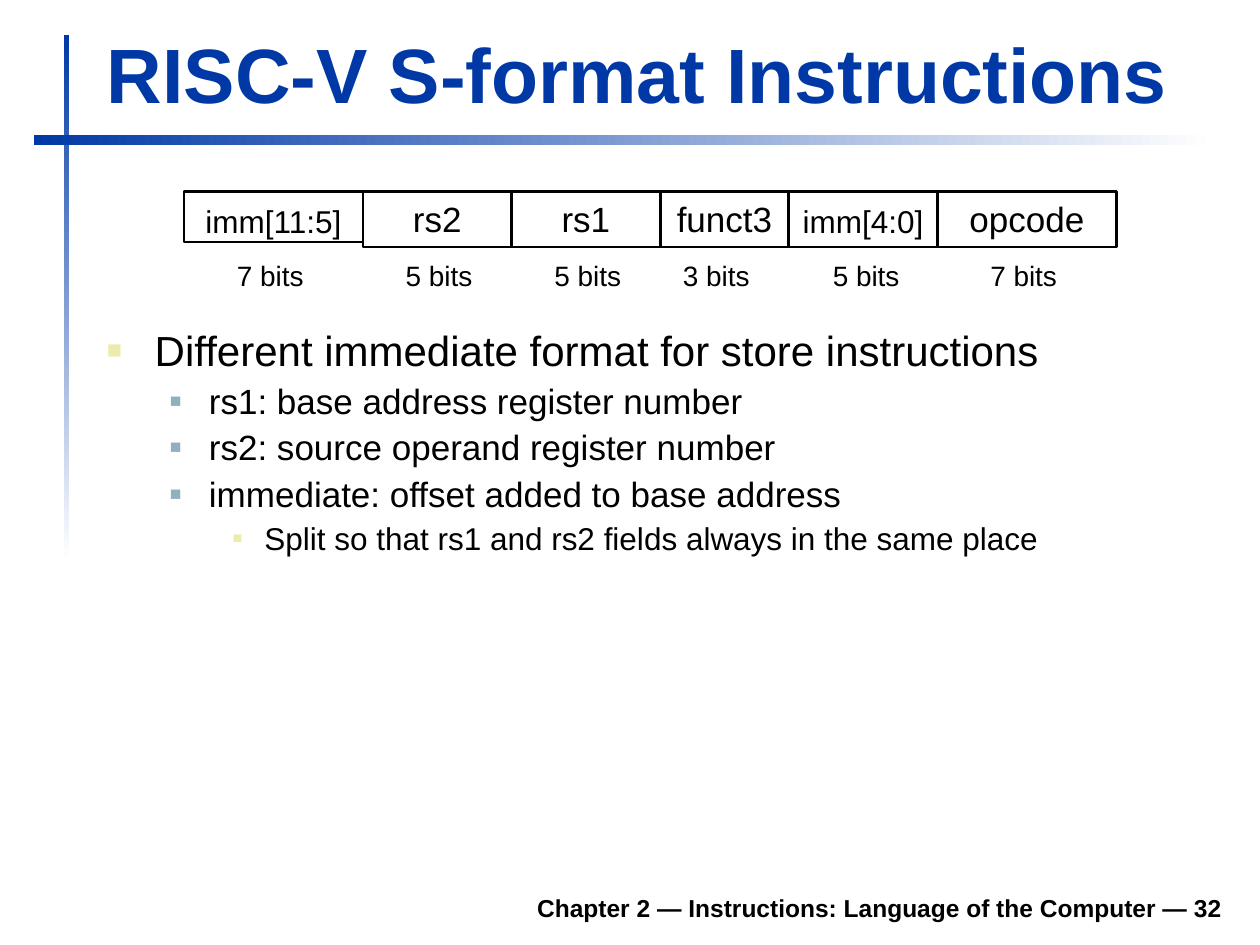
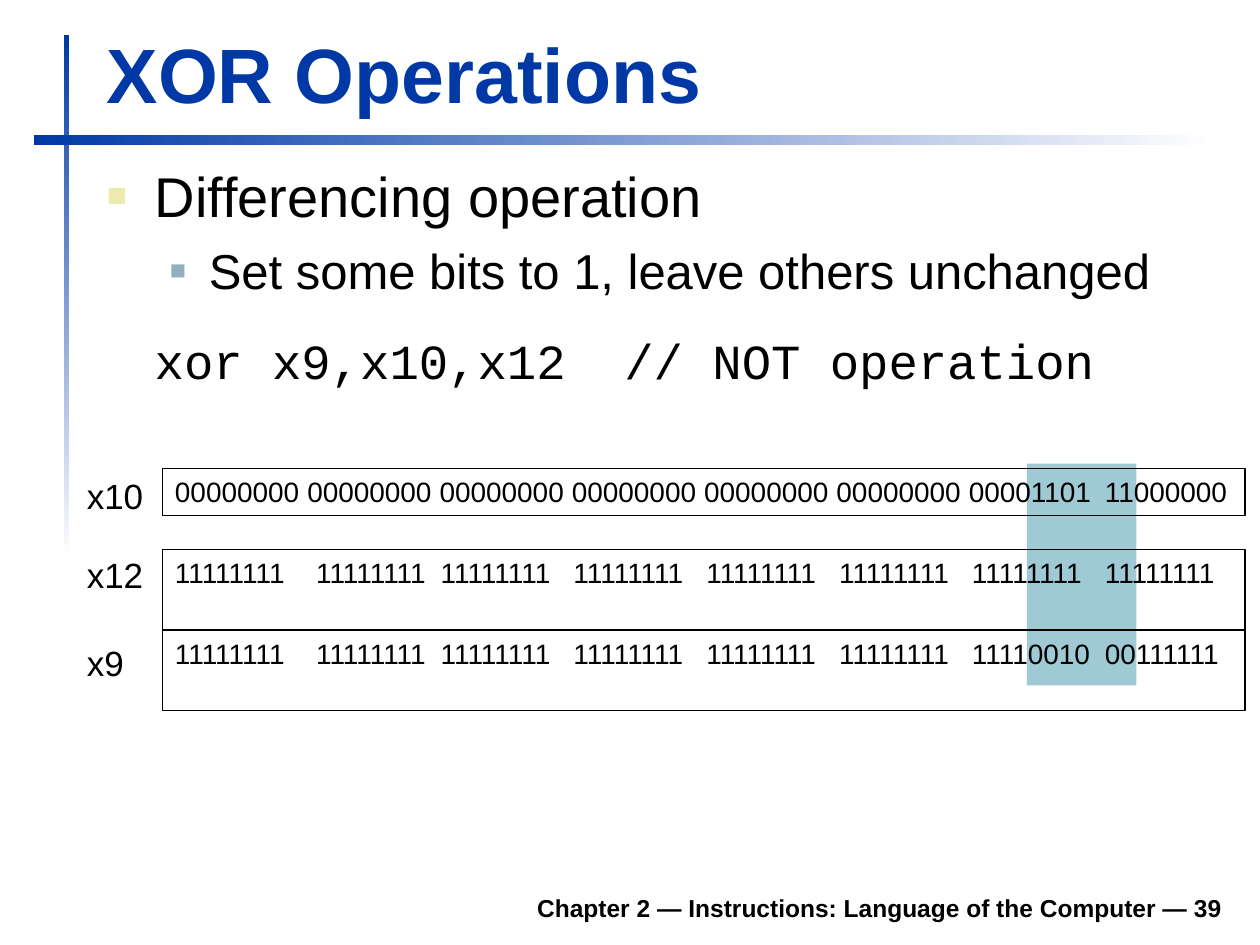
from dataclasses import dataclass
from typing import Optional

from lxml.etree import SubElement
from pptx import Presentation
from pptx.dml.color import RGBColor
from pptx.enum.shapes import MSO_SHAPE
from pptx.enum.text import MSO_ANCHOR, PP_ALIGN
from pptx.oxml.ns import qn
from pptx.util import Inches, Pt

COLORS = {
    "title": "0039A6",
    "text": "000000",
    "paper": "FFFFFF",
    "bullet": "ECEAAC",
    "sub_bullet": "91AFBF",
    "highlight": "9FCAD3",
}
FONT = "Arial"
CODE_FONT = "Courier New"
FOOTER = "Chapter 2 — Instructions: Language of the Computer — "


@dataclass(frozen=True)
class Level:
    margin: float
    hanging: float
    color: str
    percent: int


LEVELS = [
    Level(0.38, 0.38, "bullet", 60),
    Level(0.81, 0.31, "sub_bullet", 55),
    Level(1.25, 0.25, "bullet", 50),
]


@dataclass(frozen=True)
class Line:
    text: str
    size: float
    before: float
    level: int = 0
    after: float = 0
    spacing: float = 1.0
    font: str = FONT
    bullet: bool = True


@dataclass(frozen=True)
class Field:
    name: str
    bits: int
    width: float
    bits_left: float
    size: int = 20
    height: float = 0.44
    inset_top: float = 0.05


@dataclass(frozen=True)
class Register:
    name: str
    name_top: float
    top: float
    height: float
    octets: str
    stops: list[float]


def rgb(name: str) -> RGBColor:
    return RGBColor.from_string(COLORS[name])


def write(tf, text: str, *, size: float, font: str = FONT, color: str = "text",
          bold: bool = False, align=PP_ALIGN.LEFT, anchor=MSO_ANCHOR.TOP,
          wrap: bool = True, new: bool = False):
    """Write one formatted paragraph and return it."""
    tf.word_wrap = wrap
    tf.vertical_anchor = anchor
    p = tf.add_paragraph() if new else tf.paragraphs[0]
    p.alignment = align
    r = p.add_run()
    r.text = text
    r.font.size, r.font.name, r.font.bold = Pt(size), font, bold
    r.font.color.rgb = rgb(color)
    return p


def add_text(s, left: float, top: float, width: float, height: float,
             text: str, **fmt) -> None:
    box = s.shapes.add_textbox(Inches(left), Inches(top), Inches(width), Inches(height))
    write(box.text_frame, text, **fmt)


def add_rect(s, left: float, top: float, width: float, height: float,
             fill: Optional[str] = None, line: Optional[float] = None):
    sp = s.shapes.add_shape(MSO_SHAPE.RECTANGLE, Inches(left), Inches(top),
                            Inches(width), Inches(height))
    sp.shadow.inherit = False
    if fill:
        sp.fill.solid()
        sp.fill.fore_color.rgb = rgb(fill)
    else:
        sp.fill.background()
    if line:
        sp.line.color.rgb = rgb("text")
        sp.line.width = Pt(line)
    else:
        sp.line.fill.background()
    return sp


def add_band(s, left: float, top: float, width: float, height: float, angle: int) -> None:
    fill = add_rect(s, left, top, width, height).fill
    fill.gradient()
    fill.gradient_angle = angle
    for stop, color in zip(fill.gradient_stops, ("title", "paper")):
        stop.color.rgb = rgb(color)


def add_slide(prs, title: str, number: int):
    """Add a blank slide with the shared bands, footer and title."""
    s = prs.slides.add_slide(prs.slide_layouts[6])
    add_band(s, 0.51, 0.28, 0.04, 4.17, angle=270)
    add_band(s, 0.27, 1.07, 9.37, 0.08, angle=0)
    add_text(s, 1.85, 6.98, 7.95, 0.39, f"{FOOTER}{number}", size=14, bold=True,
             align=PP_ALIGN.RIGHT, anchor=MSO_ANCHOR.BOTTOM)
    add_text(s, 0.75, 0.16, 9.03, 0.83, title, size=44, bold=True, color="title",
             anchor=MSO_ANCHOR.BOTTOM)
    return s


def set_indent(p, level: Level, bullet: bool) -> None:
    pPr = p._p.get_or_add_pPr()
    pPr.set("marL", str(Inches(level.margin)))
    pPr.set("indent", str(-Inches(level.hanging) if bullet else 0))
    if not bullet:
        SubElement(pPr, qn("a:buNone"))
        return
    clr = SubElement(pPr, qn("a:buClr"))
    SubElement(clr, qn("a:srgbClr"), val=COLORS[level.color])
    SubElement(pPr, qn("a:buSzPct"), val=str(level.percent * 1000))
    SubElement(pPr, qn("a:buFont"), typeface=FONT)
    SubElement(pPr, qn("a:buChar"), char="■")


def set_tabs(p, stops: list[float]) -> None:
    tabs = SubElement(p._p.get_or_add_pPr(), qn("a:tabLst"))
    for stop in stops:
        SubElement(tabs, qn("a:tab"), pos=str(Inches(stop)), algn="l")


def add_body(s, top: float, height: float, lines: list[Line]) -> None:
    tf = s.shapes.add_textbox(Inches(0.75), Inches(top), Inches(9.04),
                              Inches(height)).text_frame
    for i, line in enumerate(lines):
        p = write(tf, line.text, size=line.size, font=line.font, new=i > 0)
        p.level = line.level
        p.line_spacing = line.spacing
        p.space_before, p.space_after = Pt(line.before), Pt(line.after)
        set_indent(p, LEVELS[line.level], line.bullet)


def add_fields(s, left: float, top: float, fields: list[Field]) -> None:
    """Draw the instruction fields side by side with their bit counts below."""
    for f in fields:
        tf = add_rect(s, left, top, f.width, f.height, line=1.5).text_frame
        tf.margin_top, tf.margin_bottom = Inches(f.inset_top), 0
        write(tf, f.name, size=f.size, align=PP_ALIGN.CENTER, wrap=False)
        add_text(s, f.bits_left, 2, 0.73, 0.37, f"{f.bits} bits", size=16,
                 align=PP_ALIGN.CENTER, wrap=False)
        left += f.width


def add_register(s, reg: Register) -> None:
    add_text(s, 0.59, reg.name_top, 0.65, 0.44, reg.name, size=20, wrap=False)
    sp = add_rect(s, 1.29, reg.top, 8.59, reg.height, line=0.75)
    p = write(sp.text_frame, "\t".join(reg.octets.split()), size=16)
    set_tabs(p, reg.stops)


def build_s_format(prs) -> None:
    s = add_slide(prs, "RISC-V S-format Instructions", 32)
    add_body(s, 2.57, 4.25, [
        Line("Different immediate format for store instructions", 24, 6, spacing=0.9),
        Line("rs1: base address register number", 20, 5, level=1, spacing=0.9),
        Line("rs2: source operand register number", 20, 5, level=1, spacing=0.9),
        Line("immediate: offset added to base address", 20, 5, level=1, spacing=0.9),
        Line("Split so that rs1 and rs2 fields always in the same place", 18, 4.5,
             level=2, spacing=0.9),
    ])
    add_fields(s, 1.46, 1.52, [
        Field("imm[11:5]", 7, 1.42, 1.78, size=18, height=0.4, inset_top=0.08),
        Field("rs2", 5, 1.18, 3.12),
        Field("rs1", 5, 1.18, 4.3),
        Field("funct3", 3, 1.02, 5.32),
        Field("imm[4:0]", 5, 1.18, 6.51, size=18, inset_top=0.08),
        Field("opcode", 7, 1.42, 7.76),
    ])


def build_xor(prs) -> None:
    s = add_slide(prs, "XOR Operations", 39)
    # Highlight behind the bits that change
    add_rect(s, 8.15, 3.68, 0.87, 1.76, fill="highlight")
    add_body(s, 1.23, 2.27, [
        Line("Differencing operation", 32, 8),
        Line("Set some bits to 1, leave others unchanged", 28, 7, level=1),
        Line("xor x9,x10,x12  // NOT operation", 28, 17.5, after=10.5,
             font=CODE_FONT, bullet=False),
    ])
    # Register contents, one tab stop per byte after the first
    last = 7.38
    zero_stops = [1.05 * i for i in range(1, 7)] + [last]
    one_stops = [1.12] + [last * i / 7 for i in range(2, 8)]
    zeros, ones = "00000000 " * 6, "11111111 " * 6
    for reg in (
        Register("x10", 3.72, 3.72, 0.37, zeros + "00001101 11000000", zero_stops),
        Register("x12", 4.34, 4.36, 0.64, ones + "11111111 11111111", one_stops),
        Register("x9", 5.04, 5, 0.64, ones + "11110010 00111111", one_stops),
    ):
        add_register(s, reg)


def main() -> None:
    prs = Presentation()
    prs.slide_width, prs.slide_height = Inches(10), Inches(7.5)
    build_s_format(prs)
    build_xor(prs)
    prs.save("out.pptx")


if __name__ == "__main__":
    main()
